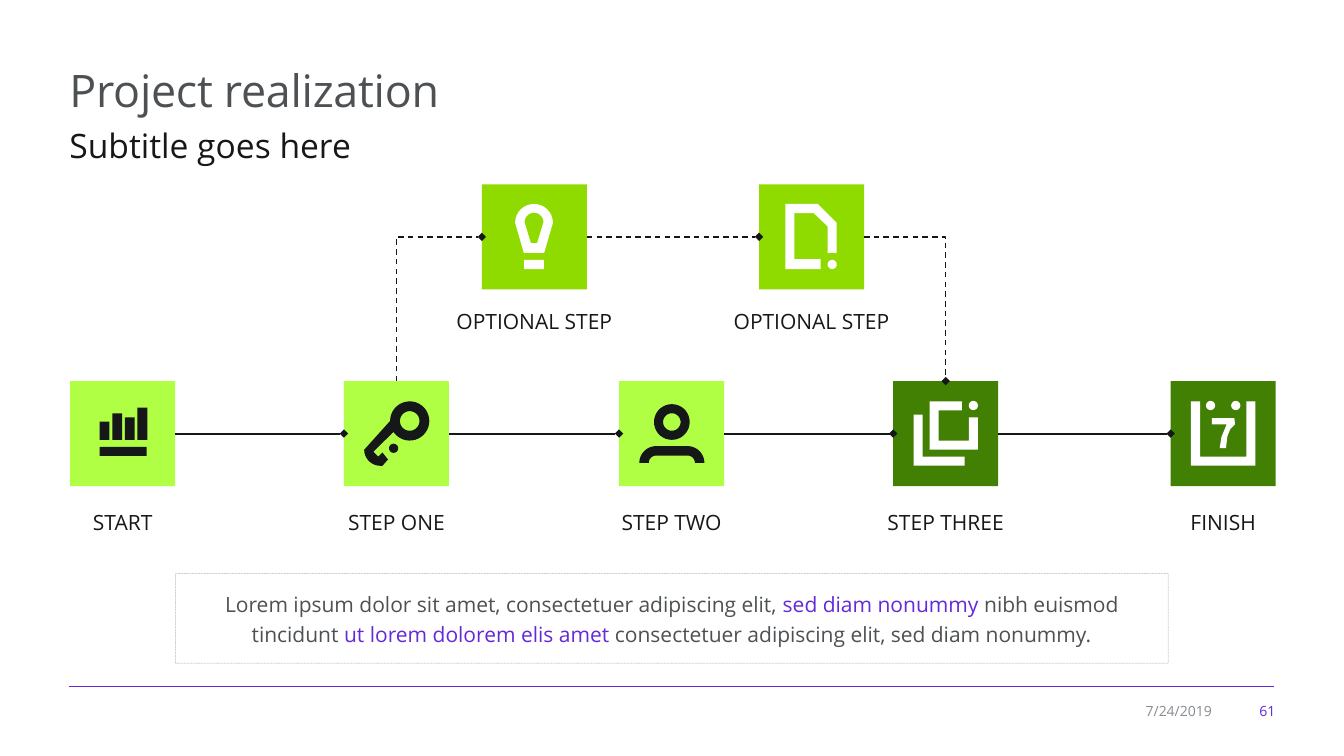
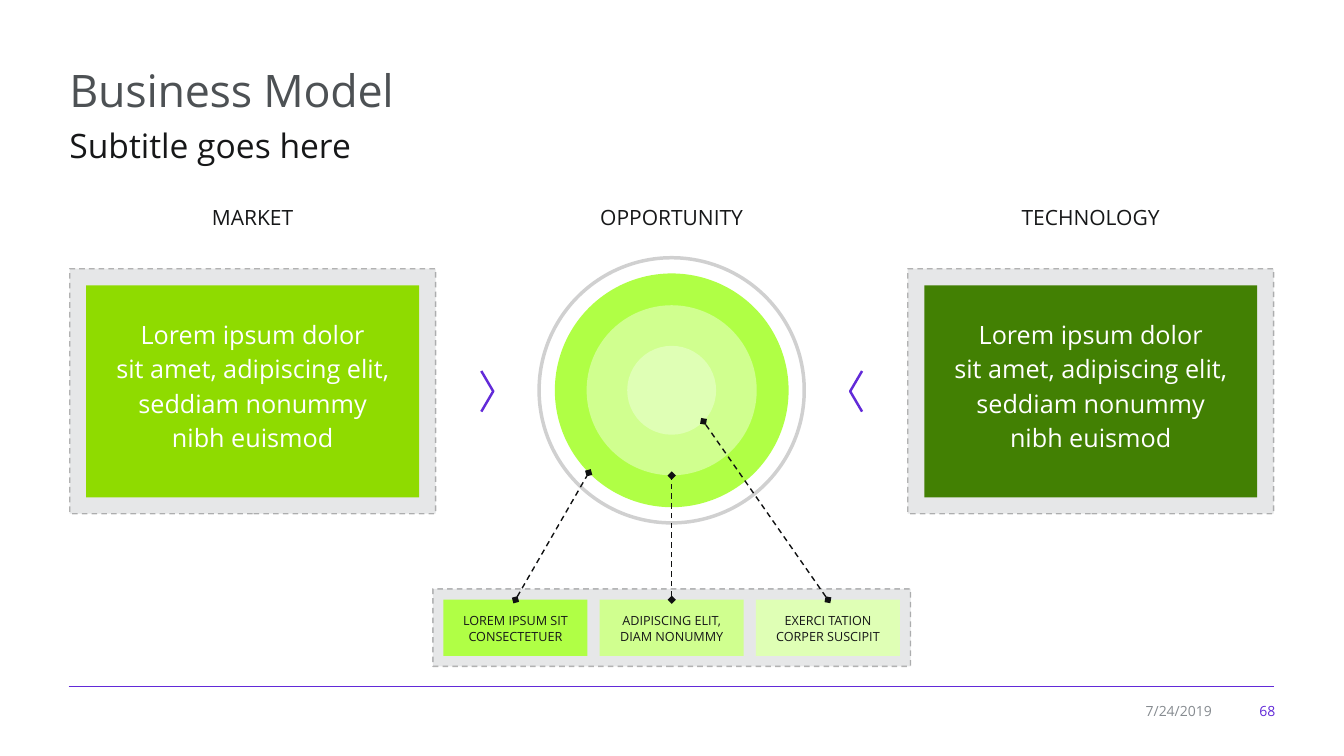
from collections import namedtuple
from math import cos, radians, sin

from lxml.etree import SubElement
from pptx import Presentation
from pptx.dml.color import RGBColor
from pptx.enum.dml import MSO_LINE as DASH
from pptx.enum.shapes import MSO_CONNECTOR, MSO_SHAPE as SHAPE
from pptx.enum.text import MSO_ANCHOR as ANCHOR, PP_ALIGN as ALIGN
from pptx.oxml.ns import qn
from pptx.util import Pt

INK, GREY, MUTED, WHITE, PANEL = "161718", "4D5154", "868B90", "FFFFFF", "E6E7E8"
VIOLET, LIME, GREEN, FOREST = "622AD8", "B0FF45", "8FDB00", "428003"
PALE, PALEST = "D0FF8F", "DFFFB5"
TOP, LEFT, RIGHT = 0, 1, 3
TILE = 75

Stroke = namedtuple("Stroke", "colour width dash alpha head tail", defaults=(None,) * 4)
SOLID_ARROW = Stroke(INK, 1.5, tail="diamond")
DASHED_ARROW = Stroke(INK, 1, DASH.DASH, tail="diamond")
CALLOUT = Stroke("101112", 1, DASH.DASH, head="diamond", tail="diamond")
PANEL_EDGE = Stroke(INK, 1, DASH.DASH, alpha=30)


def rgb(colour):
    return RGBColor.from_string(colour)


def arc(cx, cy, radius, start, end, steps=16):
    angles = [radians(start + (end - start) * i / steps) for i in range(steps + 1)]
    return [(cx + radius * cos(a), cy + radius * sin(a)) for a in angles]


def circle(cx, cy, radius):
    return arc(cx, cy, radius, 0, 360, 36)


def dot(cx, cy):
    return circle(cx, cy, 3.25)


def box(left, top, right, bottom):
    return [(left, top), (right, top), (right, bottom), (left, bottom)]


CHART = [box(21, 47, 54.5, 53.5)] + [
    box(21 + 9 * i, top, 28 + 9 * i, 42) for i, top in enumerate((29, 23, 26, 19))]
KEY = [
    arc(47, 28.5, 14, 180, 506, 36)
    + [(21, 50.5), (24.5, 54), (27.5, 51), (31.5, 56), (27.5, 60.5)]
    + arc(26, 49, 11.5, 90, 180),
    circle(47, 28.5, 7), dot(35.5, 48)]
PERSON = [
    circle(37.75, 29.25, 12.75), circle(37.75, 29.25, 6.25),
    arc(26.5, 58.5, 12, 180, 270) + arc(49, 58.5, 12, 270, 360)
    + arc(49, 58.5, 5.25, 360, 270) + arc(26.5, 58.5, 5.25, 270, 180)]
COPIES = [
    [(54, 26), (60.5, 26), (60.5, 49), (26, 49), (26, 14.5), (49, 14.5),
     (49, 21), (32.5, 21), (32.5, 42.5), (54, 42.5)],
    [(21, 24), (14.5, 24), (14.5, 60.5), (51, 60.5), (51, 54), (21, 54)],
    dot(57.25, 17.5)]
CALENDAR = [
    [(14.5, 14.5), (21, 14.5), (21, 54), (54, 54), (54, 14.5), (60.5, 14.5),
     (60.5, 60.5), (14.5, 60.5)],
    dot(28.5, 17.5), dot(46.5, 17.5),
    [(29.5, 26.5), (45.5, 26.5), (46, 31), (42.5, 34.5), (40.5, 39.5), (39.5, 48),
     (35, 48), (36.25, 40), (40, 31), (29.5, 31)]]
BULB = [
    arc(37.25, 27.5, 13.5, 180, 360) + [(44.5, 49), (30, 49)],
    arc(37.25, 27, 6.75, 180, 360) + [(39.5, 42), (35, 42)],
    box(30.25, 54, 44.25, 60.5)]
DOCUMENT = [
    [(55.5, 27.5), (55.5, 49), (49, 49), (49, 30), (39, 20.5), (25.25, 20.5),
     (25.25, 53.5), (44, 53.5), (44, 60.5), (18.75, 60.5), (18.75, 14), (42, 14)],
    dot(52.25, 57.25)]


class Deck:
    """Holds the shared style and the current slide, and draws each kind of element."""

    font = "Open Sans"

    def __init__(self):
        self.show = Presentation()
        self.show.slide_width, self.show.slide_height = Pt(960), Pt(540)

    def new_slide(self, title, subtitle, number):
        self.shapes = self.show.slides.add_slide(self.show.slide_layouts[6]).shapes
        self.link((49, 490.3), (910, 490.3), Stroke(VIOLET, 0.75))
        heading = self.text(title, 42.5, 40.3, 875.5, 47.5, 32, GREY)
        heading.text_frame.paragraphs[0].runs[0]._r.get_or_add_rPr().set("spc", "-20")
        self.text(subtitle, 42.5, 82, 866, 39, 24, INK, spacing=1.17)
        self.text("7/24/2019", 804.2, 498.2, 68.4, 18.7, 10, MUTED, ALIGN.RIGHT)
        self.text(number, 881.3, 498.2, 36.7, 18.7, 10, VIOLET, ALIGN.RIGHT)

    def outline(self, shape, stroke):
        if stroke is None:
            shape.line.fill.background()
            return
        shape.line.color.rgb = rgb(stroke.colour)
        shape.line.width = Pt(stroke.width)
        if stroke.dash:
            shape.line.dash_style = stroke.dash
        ln = shape._element.spPr.find(qn("a:ln"))
        if stroke.alpha:
            tint = ln.find(".//" + qn("a:srgbClr"))
            SubElement(tint, qn("a:alpha")).set("val", str(stroke.alpha * 1000))
        for tag, kind in (("a:headEnd", stroke.head), ("a:tailEnd", stroke.tail)):
            if kind:
                SubElement(ln, qn(tag)).set("type", kind)

    def paint(self, shape, fill, stroke):
        shape.shadow.inherit = False
        if fill:
            shape.fill.solid()
            shape.fill.fore_color.rgb = rgb(fill)
        else:
            shape.fill.background()
        self.outline(shape, stroke)
        return shape

    def shape(self, preset, left, top, width, height, fill=None, stroke=None):
        drawn = self.shapes.add_shape(preset, Pt(left), Pt(top), Pt(width), Pt(height))
        return self.paint(drawn, fill, stroke)

    def outlines(self, contours, fill=None, stroke=None, left=0, top=0):
        pen = None
        for contour in contours:
            first, *rest = [(Pt(left + x), Pt(top + y)) for x, y in contour]
            if pen is None:
                pen = self.shapes.build_freeform(*first)
            else:
                pen.move_to(*first)
            pen.add_line_segments(rest, close=fill is not None)
        return self.paint(pen.convert_to_shape(), fill, stroke)

    def link(self, begin, end, stroke, begin_site=None, end_site=None):
        start = (0, 0) if begin_site is not None else begin
        finish = (0, 0) if end_site is not None else end
        line = self.shapes.add_connector(
            MSO_CONNECTOR.STRAIGHT, *(Pt(value) for value in (*start, *finish)))
        if begin_site is not None:
            line.begin_connect(begin, begin_site)
        if end_site is not None:
            line.end_connect(end, end_site)
        self.outline(line, stroke)
        SubElement(line._element.spPr, qn("a:effectLst"))

    def put_text(self, shape, paragraphs, size, colour, align=ALIGN.CENTER, spacing=None,
                 anchor=ANCHOR.MIDDLE, top=3.6, bottom=3.6):
        frame = shape.text_frame
        frame.word_wrap = True
        frame.vertical_anchor = anchor
        frame.margin_left = frame.margin_right = Pt(7.2)
        frame.margin_top, frame.margin_bottom = Pt(top), Pt(bottom)
        for i, content in enumerate(paragraphs):
            paragraph = frame.add_paragraph() if i else frame.paragraphs[0]
            paragraph.alignment = align
            if spacing:
                paragraph.line_spacing = spacing
            paragraph.font.name, paragraph.font.size = self.font, Pt(size)
            if isinstance(content, str):
                paragraph.font.color.rgb = rgb(colour)
                paragraph.add_run().text = content
                continue
            for words, tint in content:
                for j, part in enumerate(words.split("\n")):
                    if j:
                        paragraph.add_line_break()
                    run = paragraph.add_run()
                    run.text = part
                    run.font.color.rgb = rgb(tint)

    def text(self, words, left, top, width, height, size, colour, align=ALIGN.LEFT,
             spacing=None, anchor=ANCHOR.MIDDLE):
        holder = self.shapes.add_textbox(Pt(left), Pt(top), Pt(width), Pt(height))
        self.put_text(holder, [words], size, colour, align, spacing, anchor)
        return holder

    def label(self, words, centre, top):
        self.text(words, centre - 75, top, 150, 25, 15, INK, ALIGN.CENTER,
                  anchor=ANCHOR.TOP)

    def step(self, name, left, top, fill, icon, ink, label_top):
        tile = self.shape(SHAPE.RECTANGLE, left, top, TILE, TILE, fill)
        self.outlines(icon, ink, left=left, top=top)
        self.label(name, left + TILE / 2, label_top)
        return tile


def project_realization(deck):
    deck.new_slide("Project realization", "Subtitle goes here", "61")
    main_top, option_top = 272.2, 131.7
    lefts = (50.2, 245.7, 442.2, 638, 836.2)
    option_lefts = (344.2, 542.2)
    main_steps = (("START", LIME, CHART, INK), ("STEP ONE", LIME, KEY, INK),
                  ("STEP TWO", LIME, PERSON, INK), ("STEP THREE", FOREST, COPIES, WHITE),
                  ("FINISH", FOREST, CALENDAR, WHITE))
    steps = [deck.step(name, left, main_top, fill, icon, ink, 360.7)
             for left, (name, fill, icon, ink) in zip(lefts, main_steps)]
    options = [deck.step("OPTIONAL STEP", left, option_top, GREEN, icon, WHITE, 216.7)
               for left, icon in zip(option_lefts, (BULB, DOCUMENT))]
    for before, after in zip(steps, steps[1:]):
        deck.link(before, after, SOLID_ARROW, RIGHT, LEFT)
    deck.link(*options, DASHED_ARROW, RIGHT, LEFT)
    half = TILE / 2
    level, leave, rejoin = option_top + half, lefts[1] + half, lefts[3] + half
    for detour in (
            [(leave, main_top), (leave, level), (option_lefts[0], level)],
            [(option_lefts[1] + TILE, level), (rejoin, level), (rejoin, main_top)]):
        deck.outlines([detour], stroke=DASHED_ARROW)
    summary = deck.shape(SHAPE.RECTANGLE, 125.3, 409.7, 709.2, 64.1,
                         stroke=Stroke(INK, 0.5, DASH.SQUARE_DOT, alpha=20))
    deck.put_text(summary, [[
        ("Lorem ipsum dolor sit amet, consectetuer adipiscing elit, ", GREY),
        ("sed diam nonummy ", VIOLET),
        ("nibh euismod\ntincidunt ", GREY),
        ("ut lorem dolorem elis amet ", VIOLET),
        ("consectetuer adipiscing elit, sed diam nonummy.", GREY),
    ]], 15, GREY, spacing=1.2, top=5.8, bottom=8.6)


def business_model(deck):
    deck.new_slide("Business Model", "Subtitle goes here", "68")
    centre_x, centre_y = 479.8, 278.8
    pitch = "Lorem ipsum dolor", "sit amet, adipiscing elit, seddiam nonummy", "nibh euismod"
    for name, side, fill in (("MARKET", -1, GREEN), ("TECHNOLOGY", 1, FOREST)):
        middle = centre_x + side * 299.3
        left = middle - 130.7
        deck.shape(SHAPE.RECTANGLE, left, 192, 261.4, 175, PANEL, PANEL_EDGE)
        card = deck.shape(SHAPE.RECTANGLE, left + 11.8, 203.8, 237.8, 151.4, fill)
        deck.put_text(card, pitch, 18, WHITE, spacing=1.14, bottom=14.4)
        deck.label(name, middle, 142.6)
        tip, tail = centre_x + side * 127.5, centre_x + side * 136
        deck.outlines([[(tail, 265), (tip, centre_y + 0.7), (tail, 294)]],
                      stroke=Stroke(VIOLET, 1.75))
    deck.label("OPPORTUNITY", centre_x, 142.6)

    for size, fill, stroke in ((167, LIME, None), (121.5, PALE, None), (63.5, PALEST, None),
                               (189.4, None, Stroke(INK, 2.5, alpha=20))):
        deck.shape(SHAPE.OVAL, centre_x - size / 2, centre_y - size / 2, size, size,
                   fill, stroke)

    deck.shape(SHAPE.RECTANGLE, centre_x - 170.6, 420.6, 341.2, 55.4, PANEL, PANEL_EDGE)
    legend = (
        (("LOREM IPSUM SIT", "CONSECTETUER"), LIME, (420.5, 337.7)),
        (("ADIPISCING ELIT,", "DIAM NONUMMY"), PALE, (centre_x, 339.7)),
        (("EXERCI TATION", "CORPER SUSCIPIT"), PALEST, (502.5, 301)))
    for i, (lines, fill, target) in enumerate(legend):
        entry = deck.shape(SHAPE.RECTANGLE, centre_x - 51.5 + 111.6 * (i - 1), 428.4,
                           103, 40.2, fill)
        deck.put_text(entry, lines, 9, INK, spacing=1.1)
        deck.link(entry, target, CALLOUT, TOP)


def main():
    deck = Deck()
    project_realization(deck)
    business_model(deck)
    deck.show.save("out.pptx")


if __name__ == "__main__":
    main()
